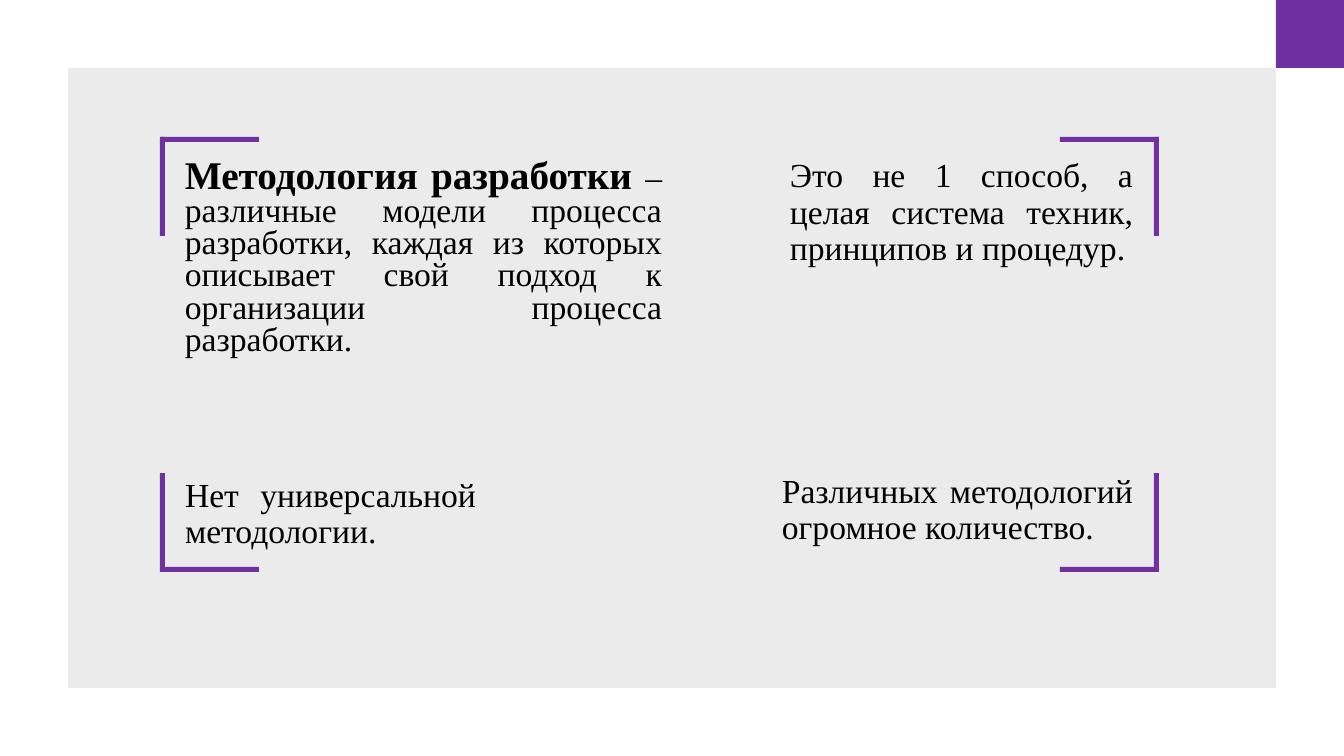
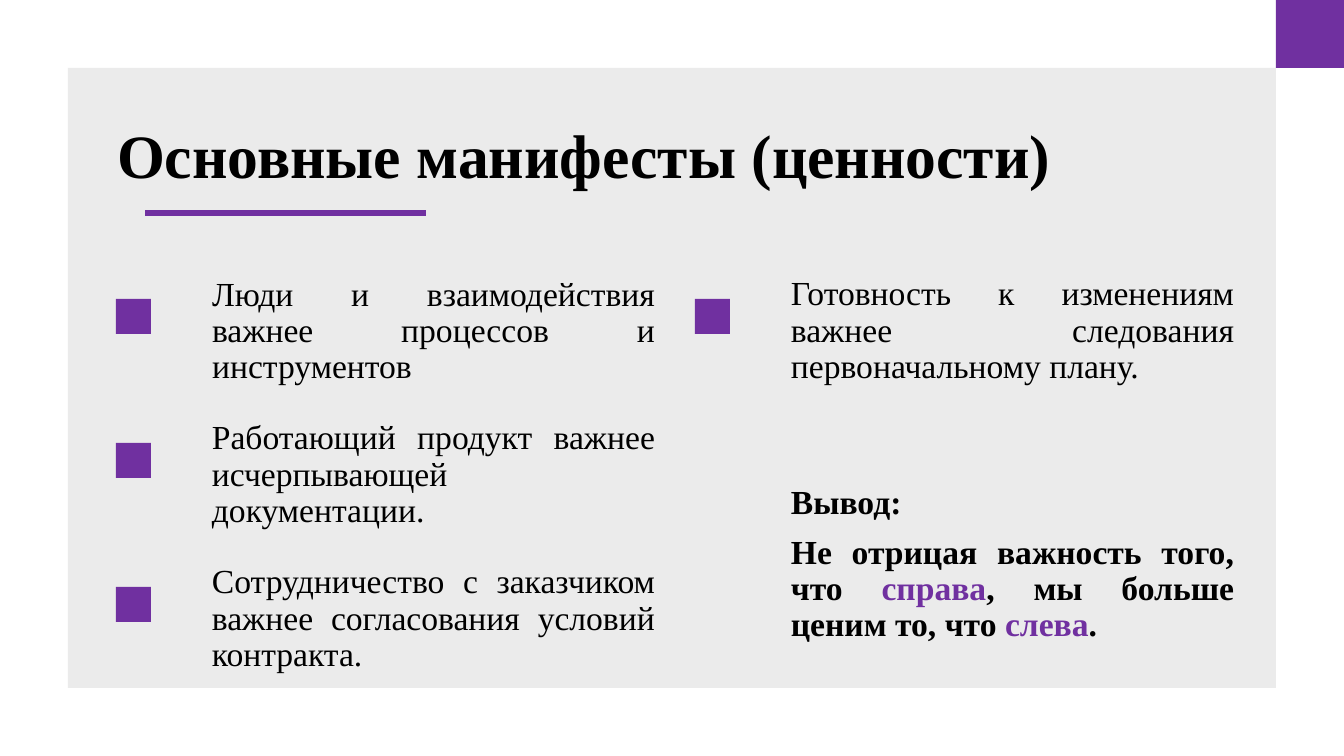
from lxml import etree
from pptx import Presentation
from pptx.dml.color import RGBColor
from pptx.enum.shapes import MSO_SHAPE as Shape
from pptx.enum.text import MSO_ANCHOR as Anchor, MSO_AUTO_SIZE as AutoSize, PP_ALIGN as Align
from pptx.oxml.ns import qn
from pptx.util import Pt

PURPLE = RGBColor(0x70, 0x30, 0xA0)
GREY = RGBColor(0xD9, 0xD9, 0xD9)
BLACK = RGBColor(0, 0, 0)
FONT = "Times New Roman"
EMU_PER_PX = 914400 / 100.8
WIDTH, HEIGHT = 1344, 756
MARGIN = 68

# Content: a paragraph is a list of (text, format) runs
PLAIN, BOLD, ACCENT, TERM = (
    {}, {"bold": True}, {"bold": True, "color": PURPLE}, {"bold": True, "size": 28})

UNIVERSAL = [[("Нет универсальной методологии.", PLAIN)]]
UNIVERSAL_BOX = (175, 473, 311, 85)
# box, line spacing, paragraphs
STATEMENTS = [
    ((780, 154, 363, 135), 0.9,
     [[("Это не 1 способ, а целая система техник, принципов и процедур.", PLAIN)]]),
    ((175, 154, 497, 224), 0.8,
     [[("Методология разработки ", TERM),
       ("– различные модели процесса разработки, каждая из которых описывает "
        "свой подход к организации процесса разработки.", PLAIN)]]),
    ((772, 469, 371, 89), 0.9,
     [[("Различных методологий огромное количество.", PLAIN)]]),
]

VALUES_TITLE = "Основные манифесты (ценности)"
VALUES = [
    "Люди и взаимодействия важнее процессов и инструментов",
    "Работающий продукт важнее исчерпывающей документации.",
    "Сотрудничество с заказчиком важнее согласования условий контракта.",
    "Готовность к изменениям важнее следования первоначальному плану.",
]
CONCLUSION = [
    [("Вывод:", BOLD)],
    [("Не отрицая важность того, что ", BOLD), ("справа", ACCENT),
     (", мы больше ценим то, что ", BOLD), ("слева", ACCENT), (".", BOLD)],
]


def px(value):
    return round(value * EMU_PER_PX)


def place(shape, box):
    shape.left, shape.top, shape.width, shape.height = map(px, box)


def add_block(slide, box, color=PURPLE):
    block = slide.shapes.add_shape(Shape.RECTANGLE, *map(px, box))
    block.shadow.inherit = False
    block.fill.solid()
    block.fill.fore_color.rgb = color
    block.line.fill.background()
    return block


def add_frame(slide):
    """Translucent panel and corner square, behind everything else."""
    panel = add_block(slide, (MARGIN, MARGIN, WIDTH - 2 * MARGIN, HEIGHT - 2 * MARGIN), GREY)
    color = panel.fill._xPr.find(".//" + qn("a:srgbClr"))
    etree.SubElement(color, qn("a:alpha"), val="50000")
    corner = add_block(slide, (WIDTH - MARGIN, 0, MARGIN, MARGIN))
    for shape in (corner, panel):
        slide.shapes._spTree.insert(2, shape._element)


def write(shape, paragraphs, spacing=0.9):
    frame = shape.text_frame
    frame.word_wrap = True
    frame.auto_size = AutoSize.NONE
    for i, runs in enumerate(paragraphs):
        para = frame.paragraphs[0] if i == 0 else frame.add_paragraph()
        if shape.is_placeholder:
            props = para._p.get_or_add_pPr()
            props.set("marL", "0")
            props.set("indent", "0")
            etree.SubElement(props, qn("a:buNone"))
        para.alignment = Align.JUSTIFY
        para.line_spacing = spacing
        para.space_before = Pt(10 if i else 0)
        para.font.name = FONT
        for text, style in runs:
            run = para.add_run()
            run.text = text
            run.font.size = Pt(style.get("size", 24))
            run.font.bold = style.get("bold", False)
            run.font.color.rgb = style.get("color", BLACK)


def add_text(slide, box, paragraphs, spacing=0.9):
    write(slide.shapes.add_textbox(*map(px, box)), paragraphs, spacing)


def add_brackets(slide, left, top, right, bottom, arm=99, thick=5):
    for at_right in (False, True):
        for at_bottom in (False, True):
            for w, h in ((arm, thick), (thick, arm)):
                x = right - w if at_right else left
                y = bottom - h if at_bottom else top
                add_block(slide, (x, y, w, h))


def build_methodology(slide):
    title = slide.shapes.title._element
    title.getparent().remove(title)
    add_frame(slide)
    universal = slide.placeholders[1]
    place(universal, UNIVERSAL_BOX)
    write(universal, UNIVERSAL)
    for box, spacing, paragraphs in STATEMENTS:
        add_text(slide, box, paragraphs, spacing)
    add_brackets(slide, 160, 137, 1159, 572)


def build_values(slide):
    add_frame(slide)
    # Title with its underline
    title = slide.shapes.title
    place(title, (107, 95, 970, 102))
    title.text_frame.text = VALUES_TITLE
    title.text_frame.vertical_anchor = Anchor.BOTTOM
    heading = title.text_frame.paragraphs[0]
    heading.alignment = Align.LEFT
    heading.line_spacing = 0.9
    heading.font.name = FONT
    heading.font.size = Pt(44)
    heading.font.bold = True
    heading.font.color.rgb = BLACK
    add_block(slide, (145, 210, 281, 6))

    # Values run down the first column, then into the second
    rows, column_step, row_step = 3, 579, 144
    for i, value in enumerate(VALUES):
        column, row = divmod(i, rows)
        x, y = column * column_step, row * row_step
        add_block(slide, (116 + x, 299 + y, 35, 35))
        box, paragraphs = (202 + x, 272 + y, 463, 125), [[(value, PLAIN)]]
        if i == 0:
            place(slide.placeholders[1], box)
            write(slide.placeholders[1], paragraphs)
        else:
            add_text(slide, box, paragraphs)
    add_text(slide, (202 + column_step, 480, 463, 171), CONCLUSION)


def main():
    deck = Presentation()
    deck.slide_width, deck.slide_height = px(WIDTH), px(HEIGHT)
    for build in (build_methodology, build_values):
        build(deck.slides.add_slide(deck.slide_layouts[1]))
    deck.save("out.pptx")


if __name__ == "__main__":
    main()
